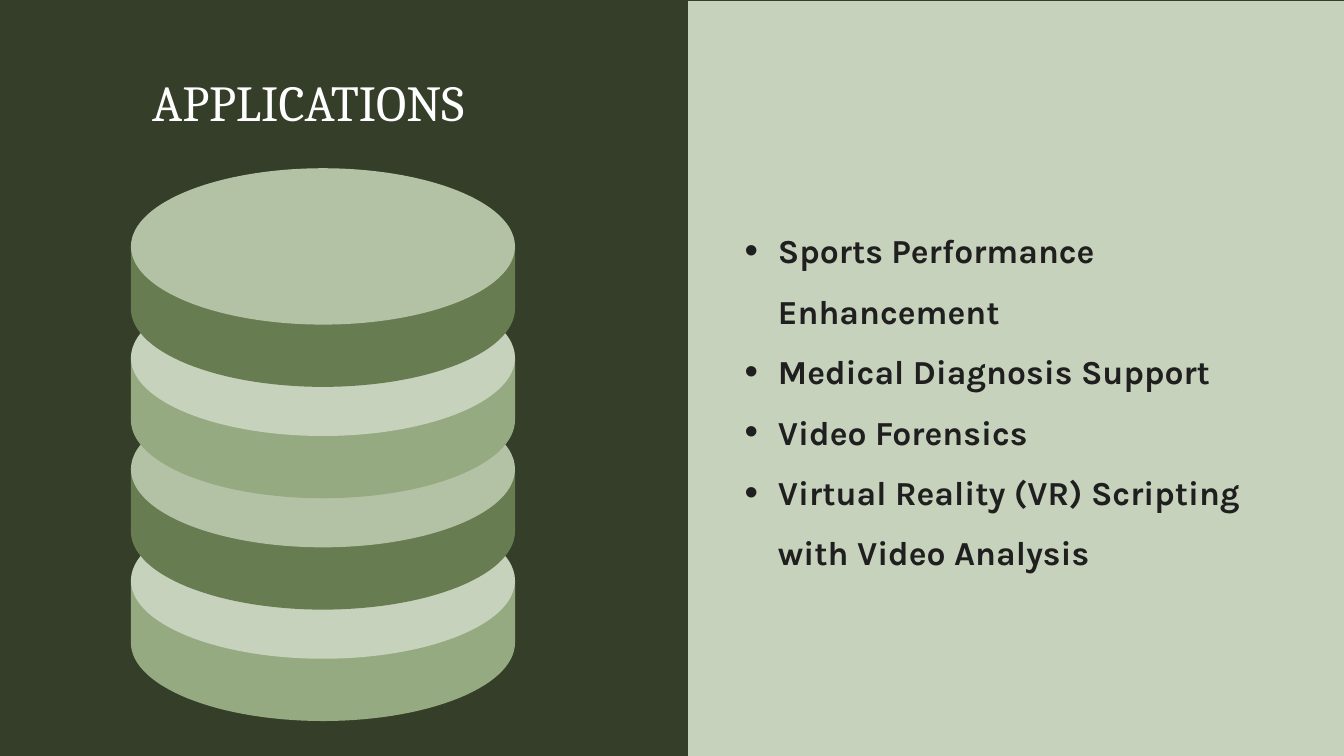
from math import cos, pi, sin

from lxml.etree import SubElement as Sub
from pptx import Presentation
from pptx.dml.color import RGBColor as RGB
from pptx.enum.shapes import MSO_SHAPE as SHAPE
from pptx.enum.text import MSO_ANCHOR as ANCHOR, MSO_AUTO_SIZE as FIT, PP_ALIGN as ALIGN
from pptx.oxml.ns import qn
from pptx.util import Cm, Pt

COLORS = {
    "back": "343E29", "panel": "C7D2BC", "ink": "1F1F1F", "white": "FFFFFF",
    "deep": "687C51", "sage": "B3C2A4", "moss": "95AA80", "pale": "C7D2BC",
}
ITEMS = [
    "Sports Performance Enhancement",
    "Medical Diagnosis Support",
    "Video Forensics",
    "Virtual Reality (VR) Scripting with Video Analysis",
]
# Side and top colour of each disc, from bottom to top
DISCS = [("moss", "pale"), ("deep", "sage")] * 2


def paint(shape, color):
    shape.fill.solid()
    shape.fill.fore_color.rgb = RGB.from_string(COLORS[color])
    shape.line.fill.background()
    shape.shadow.inherit = False


def place(shape, box):
    shape.left, shape.top, shape.width, shape.height = map(Cm, box)


def write(par, text, font, size, color, bold=False):
    run = par.add_run()
    run.text = text
    run.font.name, run.font.size, run.font.bold = font, Pt(size), bold
    run.font.color.rgb = RGB.from_string(COLORS[color])


def bullet(par):
    props = par._p.get_or_add_pPr()
    props.set("marL", str(Cm(1.73)))
    props.set("indent", str(-Cm(0.84)))
    Sub(props, qn("a:buSzPct")).set("val", "114000")
    Sub(props, qn("a:buFont")).set("typeface", "Arial")
    Sub(props, qn("a:buChar")).set("char", "•")


def add_head(slide, box):
    title = slide.shapes.title
    place(title, box)
    frame = title.text_frame
    frame.auto_size, frame.vertical_anchor = FIT.NONE, ANCHOR.TOP
    par = frame.paragraphs[0]
    par.alignment, par.line_spacing = ALIGN.LEFT, Pt(40)
    write(par, "APPLICATIONS", "Cambria", 36, "white")


def add_panel(slide, box):
    left, top, width, height = box
    # Light panel, kept behind the list
    panel = slide.shapes.add_shape(SHAPE.RECTANGLE, *map(Cm, box))
    paint(panel, "panel")
    slide.shapes.element.insert(2, panel.element)

    # Bulleted list
    body = slide.placeholders[1]
    place(body, (left + 0.28, top + 5.13, width - 0.91, 7.8))
    frame = body.text_frame
    frame.auto_size, frame.vertical_anchor = FIT.NONE, ANCHOR.TOP
    for num, item in enumerate(ITEMS):
        par = frame.add_paragraph() if num else frame.paragraphs[0]
        par.line_spacing, par.space_before = 1.5, Pt(0)
        bullet(par)
        write(par, item, "Karla", 24, "ink", True)


def add_disc(slide, box, thick, side, top):
    left, head, width, height = box
    mid_x, mid_y = left + width / 2, head + height / 2

    # Side wall: straight flanks closed by the lower half of an ellipse
    steps = 60
    rim = [(Cm(mid_x + width / 2 * cos(pi * k / steps)),
            Cm(mid_y + thick + height / 2 * sin(pi * k / steps)))
           for k in range(steps + 1)]
    pen = slide.shapes.build_freeform(Cm(left), Cm(mid_y))
    pen.add_line_segments([(Cm(left + width), Cm(mid_y)), *rim], close=True)
    paint(pen.convert_to_shape(), side)

    # Top face
    paint(slide.shapes.add_shape(SHAPE.OVAL, *map(Cm, box)), top)


def add_stack(slide, box):
    left, top, width, height = box
    face, thick = 3.94, 1.57
    pitch = (height - face - thick) / (len(DISCS) - 1)
    for num, (side, lid) in enumerate(DISCS):
        head = top + pitch * (len(DISCS) - 1 - num)
        add_disc(slide, (left, head, width, face), thick, side, lid)


def main():
    deck = Presentation()
    deck.slide_width, deck.slide_height = Cm(33.87), Cm(19.05)
    slide = deck.slides.add_slide(deck.slide_layouts[1])
    fill = slide.background.fill
    fill.solid()
    fill.fore_color.rgb = RGB.from_string(COLORS["back"])
    add_panel(slide, (17.34, 0.03, 16.53, 19.02))
    add_stack(slide, (3.3, 4.24, 9.68, 13.93))
    add_head(slide, (3.58, 1.78, 10.06, 1.68))
    deck.save("out.pptx")


if __name__ == "__main__":
    main()
